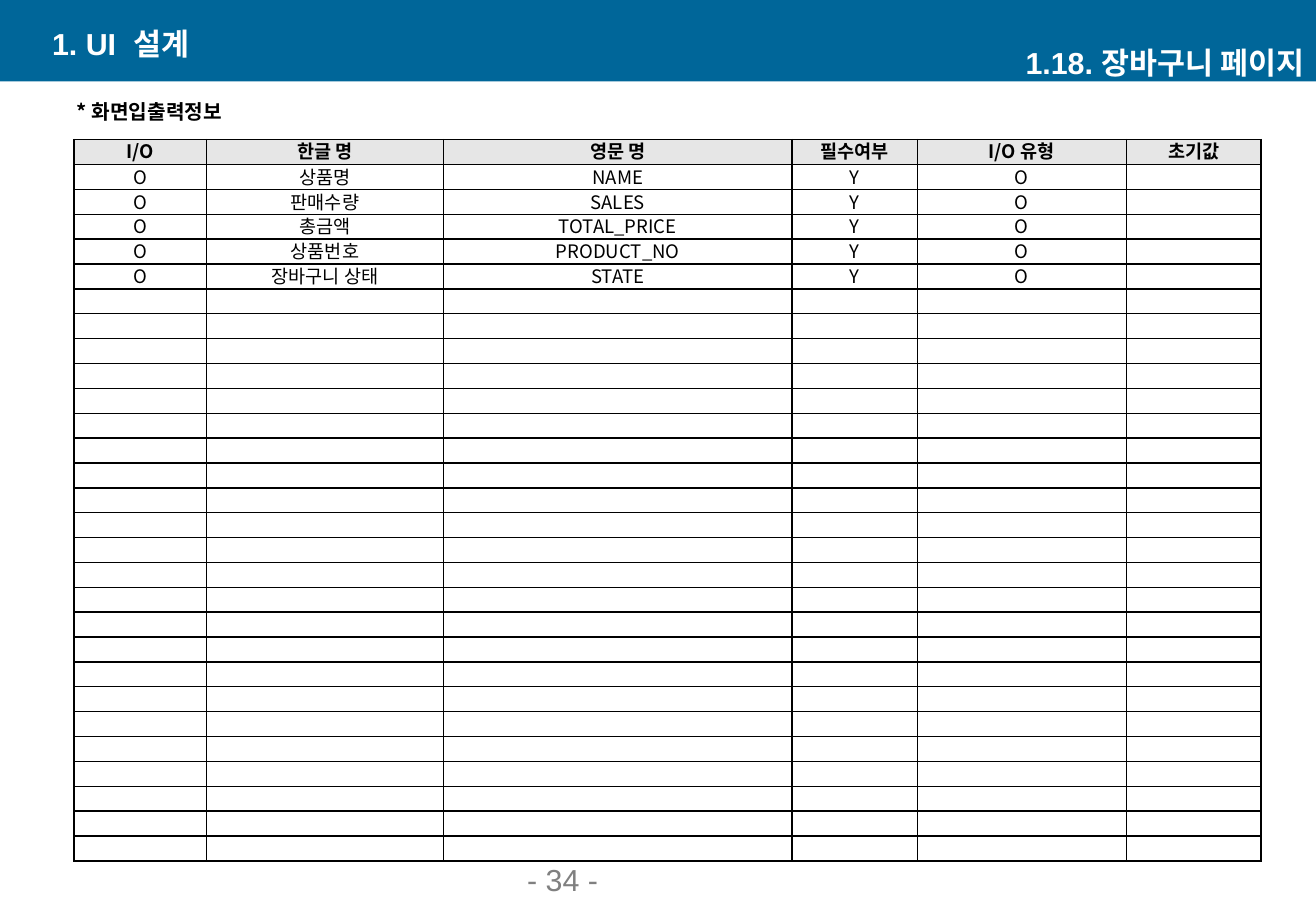
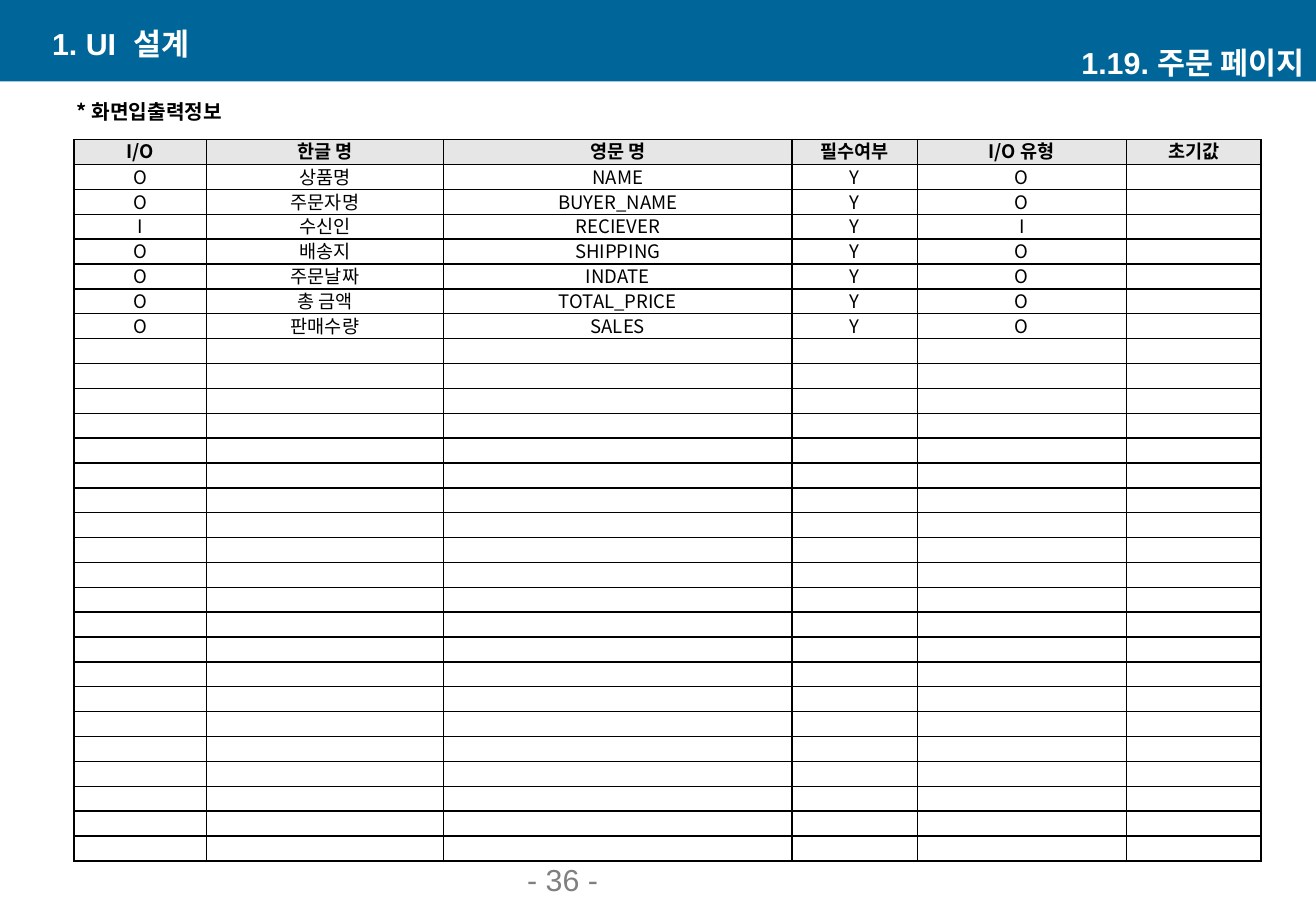
from lxml import etree
from pptx import Presentation
from pptx import util as u
from pptx.dml.color import RGBColor
from pptx.enum import shapes, text
from pptx.oxml.ns import qn

BLUE = RGBColor(0x00, 0x66, 0x99)
GRAY = RGBColor(0x80, 0x80, 0x80)
PALE = RGBColor(0xE6, 0xE6, 0xE6)
BLACK = RGBColor(0, 0, 0)
WHITE = RGBColor(255, 255, 255)
KOREAN = "Noto Sans CJK KR"

ALIGN = text.PP_ALIGN
ANCHOR = text.MSO_ANCHOR
WIDE, HIGH = 10.83, 7.5
COLS = [1.09, 1.95, 2.87, 1.03, 1.72, 1.11]
ROWS, TALL = 29, 5.94
HEADS = ["I/O", "한글 명", "영문 명", "필수여부", "I/O 유형", "초기값"]

# Text formats
TITLE = dict(name="Arial", size=u.Pt(18), bold=True, color=WHITE)
PAGE = dict(TITLE, bold=False, color=GRAY)
NOTE = dict(name=KOREAN, size=u.Pt(12), bold=True, color=BLACK)
HEAD = dict(NOTE, size=u.Pt(11))
BODY = dict(HEAD, bold=False)

# Each page: number, title, fields as (direction, Korean name, English name)
PAGES = [
    (34, "1.18. 장바구니 페이지", [
        ("O", "상품명", "NAME"),
        ("O", "판매수량", "SALES"),
        ("O", "총금액", "TOTAL_PRICE"),
        ("O", "상품번호", "PRODUCT_NO"),
        ("O", "장바구니 상태", "STATE"),
    ]),
    (36, "1.19. 주문 페이지", [
        ("O", "상품명", "NAME"),
        ("O", "주문자명", "BUYER_NAME"),
        ("I", "수신인", "RECIEVER"),
        ("O", "배송지", "SHIPPING"),
        ("O", "주문날짜", "INDATE"),
        ("O", "총 금액", "TOTAL_PRICE"),
        ("O", "판매수량", "SALES"),
    ]),
]


class Deck:
    def __init__(self):
        self.prs = Presentation()
        self.prs.slide_width = u.Inches(WIDE)
        self.prs.slide_height = u.Inches(HIGH)

    def start(self):
        self.slide = self.prs.slides.add_slide(self.prs.slide_layouts[6])

    def words(self, para, line, form, align):
        para.alignment = align
        run = para.add_run()
        run.text = line
        for key, value in form.items():
            if key == "color":
                run.font.color.rgb = value
            else:
                setattr(run.font, key, value)
        east = etree.SubElement(run._r.get_or_add_rPr(), qn("a:ea"))
        east.set("typeface", KOREAN)

    def band(self):
        bar = self.slide.shapes.add_shape(
            shapes.MSO_SHAPE.RECTANGLE, 0, 0, u.Inches(WIDE), u.Inches(0.67))
        bar.shadow.inherit = False
        bar.fill.solid()
        bar.fill.fore_color.rgb = BLUE
        bar.line.fill.background()

    def label(self, line, at, form, align=ALIGN.LEFT, anchor=ANCHOR.MIDDLE,
              wrap=True):
        box = self.slide.shapes.add_textbox(*map(u.Inches, at))
        frame = box.text_frame
        frame.word_wrap = wrap
        frame.vertical_anchor = anchor
        self.words(frame.paragraphs[0], line, form, align)

    def edge(self, cell):
        props = cell._tc.get_or_add_tcPr()
        for i, side in enumerate(("lnL", "lnR", "lnT", "lnB")):
            rule = etree.Element(qn("a:" + side), w=str(u.Pt(1)))
            fill = etree.SubElement(rule, qn("a:solidFill"))
            etree.SubElement(fill, qn("a:srgbClr"), val=str(BLACK))
            props.insert(i, rule)

    def cell(self, cell, line, head):
        side, top = (0.07, 0) if head else (0.01, 0.01)
        pads = dict(margin_left=side, margin_right=side,
                    margin_top=top, margin_bottom=0)
        for key, value in pads.items():
            setattr(cell, key, u.Inches(value))
        cell.vertical_anchor = ANCHOR.MIDDLE
        if head:
            cell.fill.solid()
            cell.fill.fore_color.rgb = PALE
        else:
            cell.fill.background()
        self.edge(cell)
        para = cell.text_frame.paragraphs[0]
        para.line_spacing = u.Pt(14)
        if line:
            self.words(para, line, HEAD if head else BODY, ALIGN.CENTER)
        else:
            # Keep an empty cell as low as a filled one
            etree.SubElement(para._p, qn("a:endParaRPr"), sz="1100")

    def table(self, data):
        grid = self.slide.shapes.add_table(
            ROWS, len(COLS), u.Inches(0.61), u.Inches(1.15),
            u.Inches(sum(COLS)), u.Inches(TALL)).table
        grid.first_row = grid.horz_banding = False
        for col, width in zip(grid.columns, COLS):
            col.width = u.Inches(width)
        for r, row in enumerate(grid.rows):
            row.height = u.Inches(TALL / ROWS)
            lines = data[r] if r < len(data) else [""] * len(COLS)
            for cell, line in zip(row.cells, lines):
                self.cell(cell, line, r == 0)


def main():
    deck = Deck()
    for number, title, fields in PAGES:
        deck.start()
        # Header and footer
        deck.band()
        deck.label("1. UI  설계", (0.33, 0.19, 4.38, 0.33), TITLE)
        deck.label(title, (6.45, 0.35, 4.38, 0.33), TITLE, ALIGN.RIGHT)
        deck.label(f"- {number} -", (4.24, 7.13, 2.26, 0.31), PAGE,
                   anchor=ANCHOR.BOTTOM)
        # Field list
        deck.label("* 화면입출력정보", (0.47, 0.77, 1.52, 0.29), NOTE,
                   ALIGN.CENTER, wrap=False)
        rows = [(way, local, name, "Y", way, "") for way, local, name in fields]
        deck.table([HEADS] + rows)
    deck.prs.save("out.pptx")


if __name__ == "__main__":
    main()
